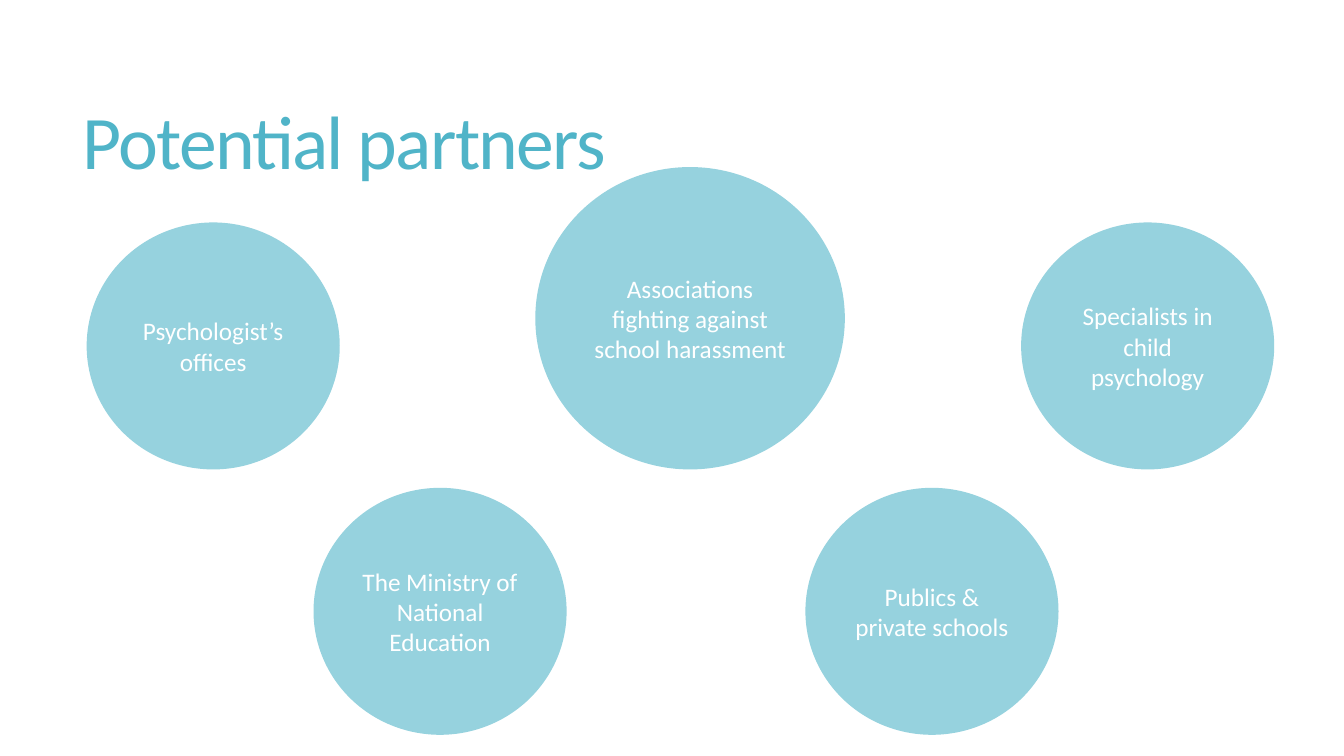
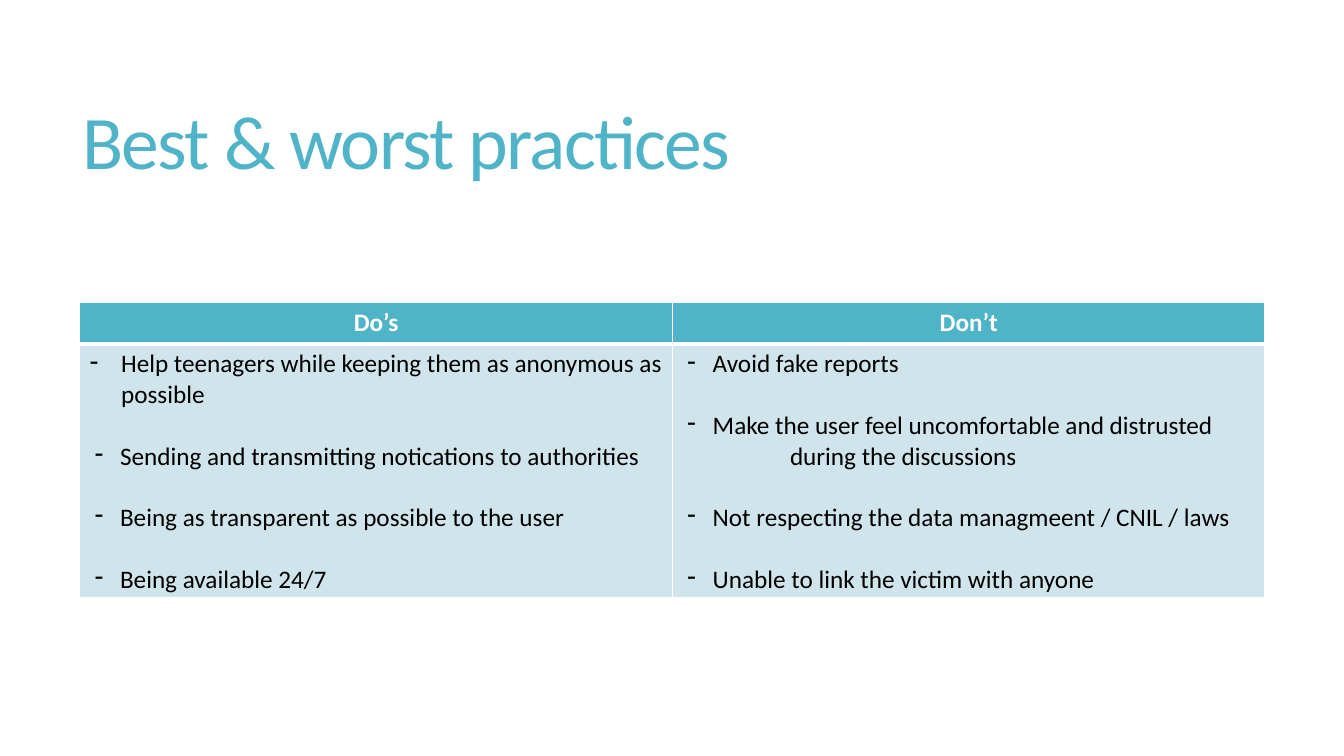
from pptx import Presentation
from pptx import util as u
from pptx.dml.color import RGBColor
from pptx.enum import shapes, text
from pptx.oxml import ns, xmlchemy

# Shared colours, sizes and text styles
WIDTH, HEIGHT = u.Inches(13.33), u.Inches(7.5)
TEAL = RGBColor(0x50, 0xB4, 0xC8)
LIGHT_TEAL = RGBColor(0x96, 0xD2, 0xDE)
PALE_TEAL = RGBColor(0xD0, 0xE5, 0xEB)
WHITE = RGBColor(0xFF, 0xFF, 0xFF)
BLACK = RGBColor(0, 0, 0)

TITLE = {"size": u.Pt(54), "color": TEAL}
CIRCLE = {"size": u.Pt(18), "color": WHITE}
HEADER = {"size": u.Pt(18), "color": WHITE, "bold": True}
BODY = {"size": u.Pt(18), "color": BLACK, "bold": False}
CENTER = {"alignment": text.PP_ALIGN.CENTER}

# Circles: share of width for the left edge, shares of height for the bottoms
SMALL, LARGE = (18.83, 32.67), (23.03, 40)
UPPER, LOWER = 62.1, 97.2
PARTNERS = [
    ("Psychologist’s offices", 6.45, UPPER, SMALL),
    ("Associations fighting against school harassment", 39.83, UPPER, LARGE),
    ("Specialists in child psychology", 75.98, UPPER, SMALL),
    ("Publics & private schools", 59.93, LOWER, SMALL),
    ("The Ministry of National Education", 23.33, LOWER, SMALL),
]

# List styles: left margin and hanging dash as shares of the width
WIDE_DASH, DASH, CONTINUED = (2.33, 2.33), (2.25, 1.88), (8, 0)
PRACTICES = {
    "Do’s": [
        ("Help teenagers while keeping them as anonymous as possible", WIDE_DASH),
        ("Sending and transmitting notications to authorities", DASH),
        ("Being as transparent as possible to the user", DASH),
        ("Being available 24/7", DASH),
    ],
    "Don’t": [
        ("Avoid fake reports", DASH),
        ("Make the user feel uncomfortable and distrusted", DASH),
        ("during the discussions", CONTINUED),
        ("Not respecting the data managmeent / CNIL / laws", DASH),
        ("Unable to link the victim with anyone", DASH),
    ],
}


def across(share):
    return round(WIDTH * share / 100)


def down(share):
    return round(HEIGHT * share / 100)


def area(left, top, width, height):
    return across(left), down(top), across(width), down(height)


def write(para, words, style, layout):
    """Add one styled span to a paragraph."""
    span = para.add_run()
    span.text = words
    span.font.name = "Calibri"
    for name, value in style.items():
        if name == "color":
            span.font.color.rgb = value
        else:
            setattr(span.font, name, value)
    for name, value in layout.items():
        setattr(para, name, value)
    return span


def add_title(page, words):
    box = page.shapes.add_textbox(*area(5.4, 7.33, 88.35, 24.13))
    frame = box.text_frame
    frame.word_wrap = True
    frame.vertical_anchor = text.MSO_ANCHOR.MIDDLE
    span = write(frame.paragraphs[0], words, TITLE, {"line_spacing": 0.85})
    span.font._element.set("spc", "-120")


def add_circle(page, words, left, bottom, size):
    width, height = size
    circle = page.shapes.add_shape(
        shapes.MSO_SHAPE.OVAL, *area(left, bottom - height, width, height))
    circle.shadow.inherit = False
    circle.fill.solid()
    circle.fill.fore_color.rgb = LIGHT_TEAL
    circle.line.fill.background()
    frame = circle.text_frame
    frame.word_wrap = True
    frame.vertical_anchor = text.MSO_ANCHOR.MIDDLE
    write(frame.paragraphs[0], words, CIRCLE, CENTER)


def style_cell(cell, color, borders):
    """Fill a cell and give it white borders, widths in points by side."""
    cell.fill.solid()
    cell.fill.fore_color.rgb = color
    properties = cell._tc.get_or_add_tcPr()
    for place, (side, width) in enumerate(borders.items()):
        line = xmlchemy.OxmlElement(f"a:ln{side}")
        line.set("w", str(u.Pt(width)))
        paint = xmlchemy.OxmlElement("a:solidFill")
        tint = xmlchemy.OxmlElement("a:srgbClr")
        tint.set("val", str(WHITE))
        paint.append(tint)
        line.append(paint)
        properties.insert(place, line)


def fill_list(frame, items):
    """Write dashed items one blank line apart; continuations stay close."""
    for index, (words, (margin, hanging)) in enumerate(items):
        para = frame.add_paragraph() if index else frame.paragraphs[0]
        gap = 22 if index and hanging else 0
        write(para, words, BODY, {"space_before": u.Pt(gap)})
        properties = para._p.get_or_add_pPr()
        properties.set("marL", str(across(margin)))
        properties.set("indent", str(-across(hanging)))
        if hanging:
            bullet = xmlchemy.OxmlElement("a:buChar")
            bullet.set("char", "-")
            properties.append(bullet)


def add_practices(page, columns):
    heights = (5.47, 33.33)
    table = page.shapes.add_table(
        2, len(columns), *area(5.93, 40, 88.2, sum(heights))).table
    for row, height in zip(table.rows, heights):
        row.height = down(height)
    for index, (heading, items) in enumerate(columns.items()):
        head, body = table.cell(0, index), table.cell(1, index)
        style_cell(head, TEAL, {"L": 1, "R": 1, "T": 1, "B": 3})
        style_cell(body, PALE_TEAL, {"L": 1, "R": 1, "T": 3, "B": 1})
        write(head.text_frame.paragraphs[0], heading, HEADER, CENTER)
        fill_list(body.text_frame, items)


def add_page(deck, title):
    page = deck.slides.add_slide(deck.slide_layouts[6])
    add_title(page, title)
    return page


def main():
    deck = Presentation()
    deck.slide_width, deck.slide_height = WIDTH, HEIGHT

    # Partners
    page = add_page(deck, "Potential partners")
    for partner in PARTNERS:
        add_circle(page, *partner)

    # Practices
    page = add_page(deck, "Best & worst practices")
    add_practices(page, PRACTICES)

    deck.save("out.pptx")


main()
